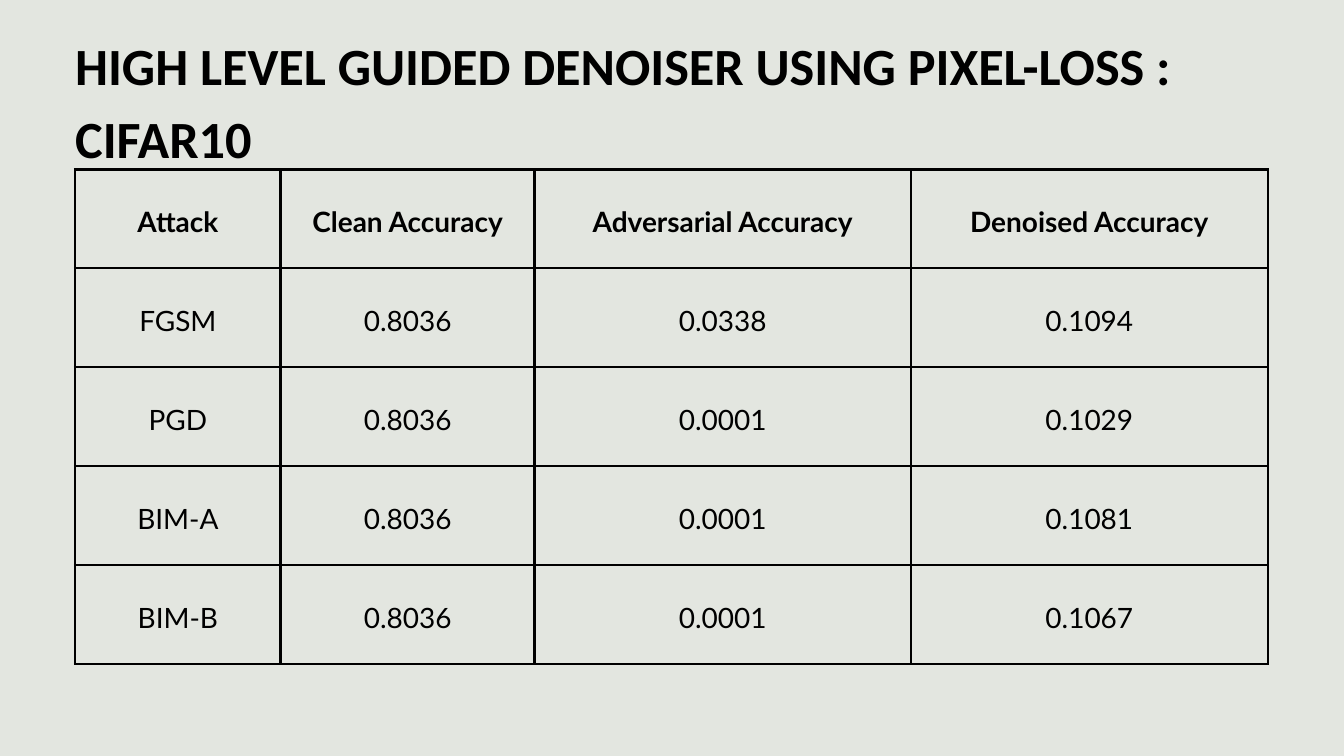
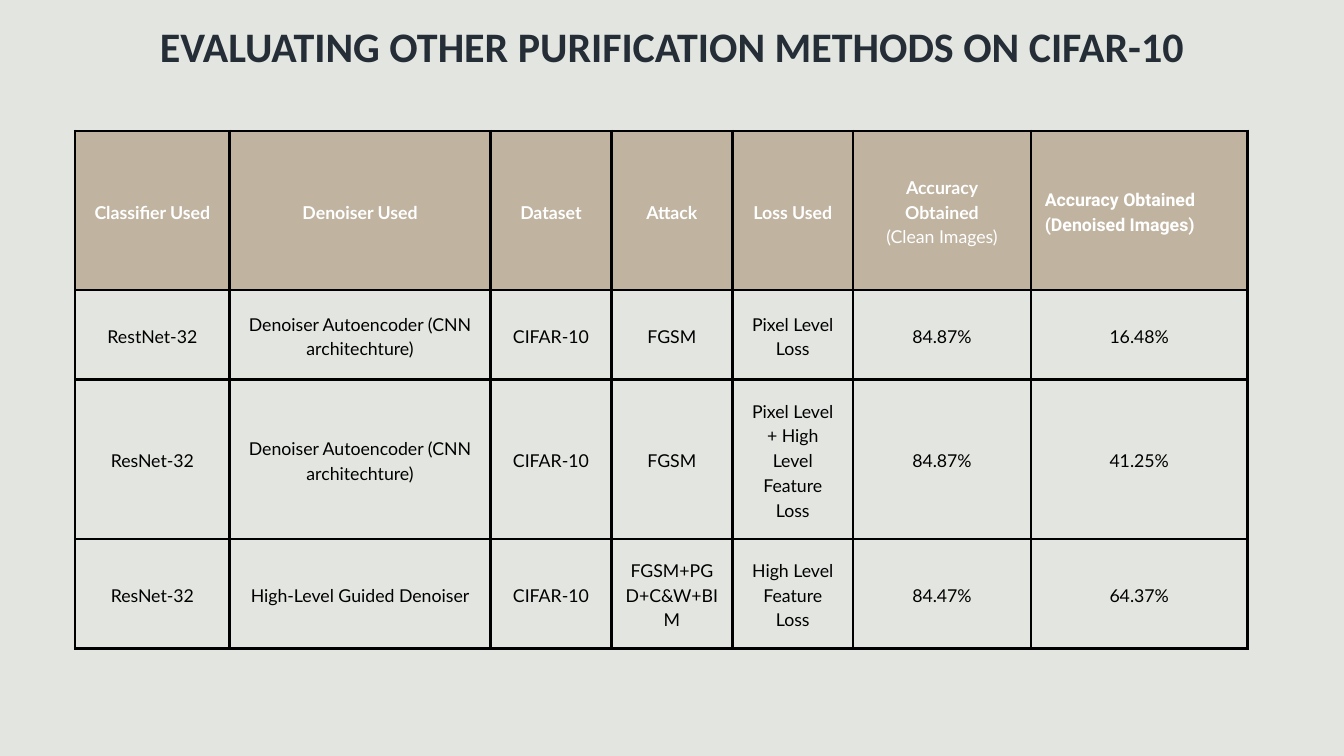
from dataclasses import dataclass
from typing import Optional

from lxml import etree
from pptx import Presentation
from pptx import util as u
from pptx.dml import color
from pptx.enum import text
from pptx.oxml import ns

PAPER = "E3E6E0"
BLACK = "000000"
WHITE = "FFFFFF"
SAND = "C0B3A0"
SLATE = "252D37"

TITLE_FONT = "Calibri"
BODY_FONT = "Lato"
TABLE_LEFT = 2.84
CELL_INSET = 0.53
BORDER_POINTS = 3
LEADING = 1.4  # line spacing of table text, as a multiple of its size

LEFT = text.PP_ALIGN.LEFT
CENTER = text.PP_ALIGN.CENTER


@dataclass(frozen=True)
class Line:
    text: str
    bold: bool = False
    font: str = BODY_FONT
    align: text.PP_ALIGN = CENTER


@dataclass(frozen=True)
class Title:
    line: Line
    place: tuple[float, float, float, float]
    size: float
    spacing: float
    ink: str


@dataclass(frozen=True)
class ResultTable:
    """Header cells hold lists of lines; body cells hold plain strings."""
    top: float
    widths: list[float]
    heights: list[float]
    header: list[list[Line]]
    body: list[list[str]]
    size: float
    header_ink: str = BLACK
    header_fill: Optional[str] = None


def rgb(hex_code: str) -> color.RGBColor:
    return color.RGBColor.from_string(hex_code)


def bold_line(words: str) -> Line:
    return Line(words, bold=True)


def write_lines(frame, lines: list[Line], size: float, spacing: float, ink: str) -> None:
    for index, line in enumerate(lines):
        para = frame.add_paragraph() if index else frame.paragraphs[0]
        para.alignment = line.align
        para.line_spacing = u.Pt(spacing)
        span = para.add_run()
        span.text = line.text
        span.font.name = line.font
        span.font.size = u.Pt(size)
        span.font.bold = line.bold
        span.font.color.rgb = rgb(ink)


def add_title(page, title: Title) -> None:
    box = page.shapes.add_textbox(*map(u.Cm, title.place))
    frame = box.text_frame
    frame.margin_left = frame.margin_right = frame.margin_top = frame.margin_bottom = 0
    frame.word_wrap = True
    frame.auto_size = text.MSO_AUTO_SIZE.SHAPE_TO_FIT_TEXT
    write_lines(frame, [title.line], title.size, title.spacing, title.ink)


def add_borders(cell) -> None:
    properties = cell._tc.get_or_add_tcPr()
    for side in ("a:lnL", "a:lnR", "a:lnT", "a:lnB"):
        border = etree.SubElement(properties, ns.qn(side), w=str(u.Pt(BORDER_POINTS)))
        fill = etree.SubElement(border, ns.qn("a:solidFill"))
        etree.SubElement(fill, ns.qn("a:srgbClr"), val=BLACK)


def fill_cell(cell, lines: list[Line], size: float, ink: str, fill: Optional[str]) -> None:
    cell.vertical_anchor = text.MSO_ANCHOR.MIDDLE
    cell.margin_left = cell.margin_right = u.Cm(CELL_INSET)
    cell.margin_top = cell.margin_bottom = u.Cm(CELL_INSET)
    add_borders(cell)
    if fill:
        cell.fill.solid()
        cell.fill.fore_color.rgb = rgb(fill)
    else:
        cell.fill.background()
    write_lines(cell.text_frame, lines, size, size * LEADING, ink)


def add_results(page, results: ResultTable) -> None:
    table = page.shapes.add_table(
        len(results.heights), len(results.widths), u.Cm(TABLE_LEFT), u.Cm(results.top),
        u.Cm(sum(results.widths)), u.Cm(sum(results.heights))).table
    table.first_row = table.horz_banding = False
    for column, width in zip(table.columns, results.widths):
        column.width = u.Cm(width)
    for row, height in zip(table.rows, results.heights):
        row.height = u.Cm(height)
    for column, lines in enumerate(results.header):
        fill_cell(table.cell(0, column), lines, results.size,
                  results.header_ink, results.header_fill)
    for row, words in enumerate(results.body, start=1):
        for column, word in enumerate(words):
            fill_cell(table.cell(row, column), [Line(word)], results.size, BLACK, None)


def add_page(deck, title: Title, results: ResultTable) -> None:
    page = deck.slides.add_slide(deck.slide_layouts[6])
    page.background.fill.solid()
    page.background.fill.fore_color.rgb = rgb(PAPER)
    add_results(page, results)
    add_title(page, title)


PIXEL_LOSS_TITLE = Title(
    Line("HIGH LEVEL GUIDED DENOISER USING PIXEL-LOSS : CIFAR10", True, TITLE_FONT, LEFT),
    place=(TABLE_LEFT, 0.86, 44.88, 5.44), size=56, spacing=78.4, ink=BLACK)

PIXEL_LOSS_RESULTS = ResultTable(
    top=6.4,
    widths=[7.77, 9.6, 14.22, 13.49],
    heights=[3.74] * 5,
    header=[[bold_line(name)] for name in
            ("Attack", "Clean Accuracy", "Adversarial Accuracy", "Denoised Accuracy")],
    body=[
        ["FGSM", "0.8036", "0.0338", "0.1094"],
        ["PGD", "0.8036", "0.0001", "0.1029"],
        ["BIM-A", "0.8036", "0.0001", "0.1081"],
        ["BIM-B", "0.8036", "0.0001", "0.1067"],
    ],
    size=30)

METHODS_TITLE = Title(
    Line("EVALUATING OTHER PURIFICATION METHODS ON CIFAR-10", True, TITLE_FONT),
    place=(1.09, 1.4, 48.62, 1.45), size=45, spacing=36, ink=SLATE)

METHODS_RESULTS = ResultTable(
    top=4.95,
    widths=[5.84, 9.86, 4.57, 4.57, 4.57, 6.71, 8.2],
    heights=[6.02, 3.38, 6.02, 4.14],
    header=[
        *([bold_line(name)] for name in
          ("Classifier Used", "Denoiser Used", "Dataset", "Attack", "Loss Used")),
        [bold_line("Accuracy Obtained"), Line("(Clean Images)")],
        [Line(words, True, "Roboto", LEFT)
         for words in ("Accuracy Obtained", "(Denoised Images)")],
    ],
    body=[
        ["RestNet-32", "Denoiser Autoencoder (CNN architechture)", "CIFAR-10", "FGSM",
         "Pixel Level Loss", "84.87%", "16.48%"],
        ["ResNet-32", "Denoiser Autoencoder (CNN architechture)", "CIFAR-10", "FGSM",
         "Pixel Level + High Level Feature Loss", "84.87%", "41.25%"],
        ["ResNet-32", "High-Level Guided Denoiser", "CIFAR-10", "FGSM+PGD+C&W+BIM",
         "High Level Feature Loss", "84.47%", "64.37%"],
    ],
    size=19, header_ink=WHITE, header_fill=SAND)


def main() -> None:
    deck = Presentation()
    deck.slide_width, deck.slide_height = u.Cm(50.8), u.Cm(28.58)
    add_page(deck, PIXEL_LOSS_TITLE, PIXEL_LOSS_RESULTS)
    add_page(deck, METHODS_TITLE, METHODS_RESULTS)
    deck.save("out.pptx")


if __name__ == "__main__":
    main()
